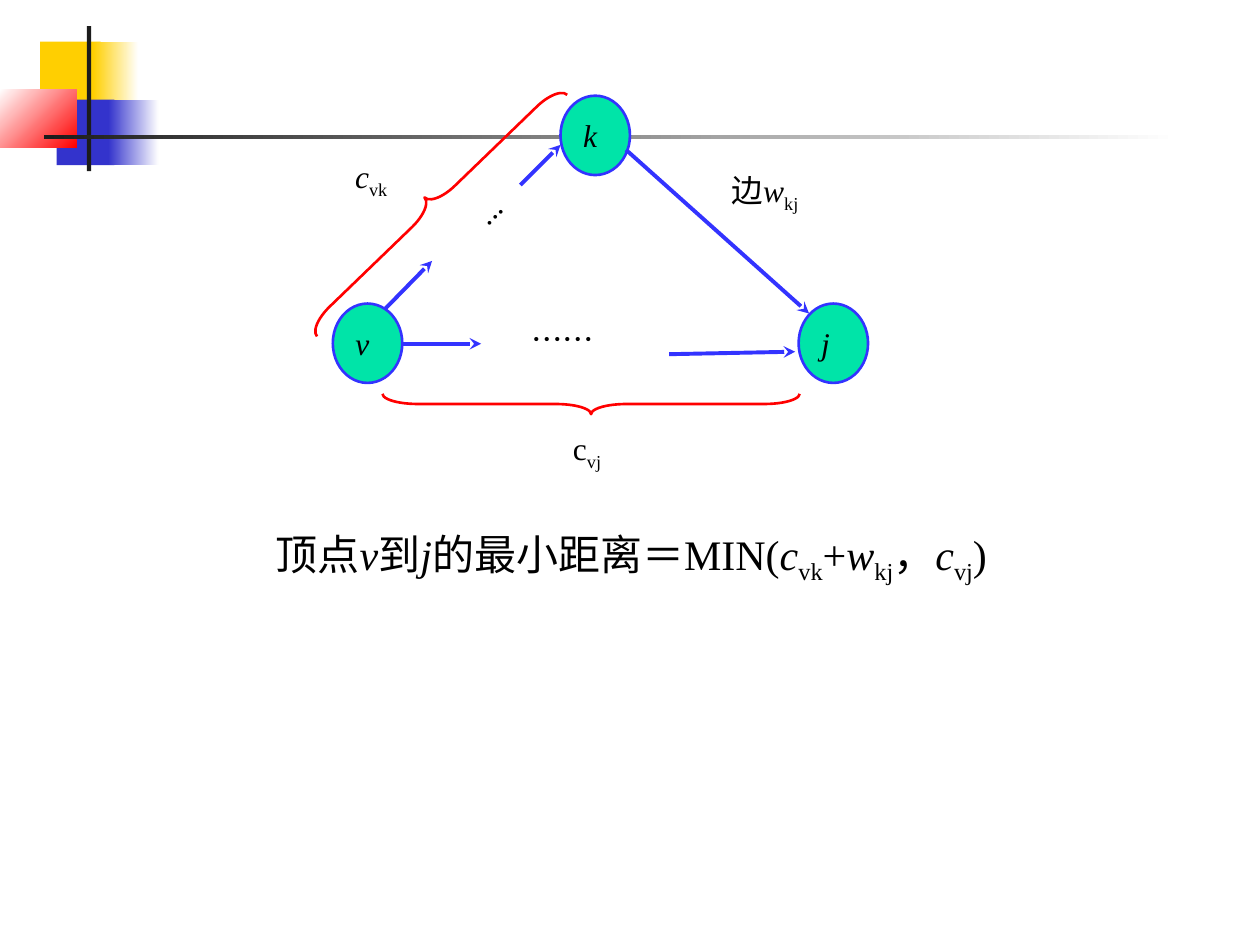
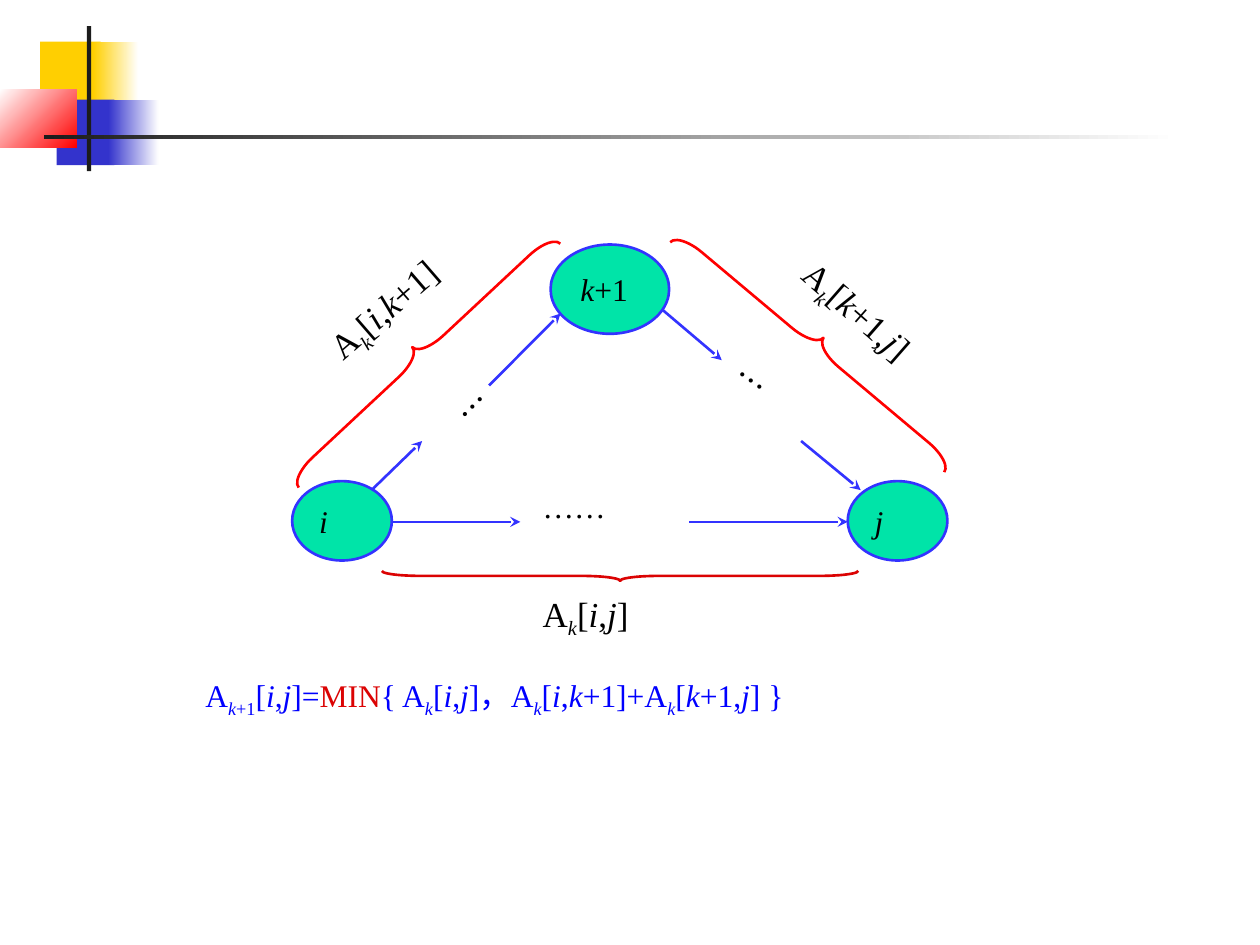
import pptx
import pptx.dml.color
import pptx.enum.shapes
import pptx.enum.text
import pptx.oxml.ns
import pptx.util
from lxml import etree

Cm = pptx.util.Cm
Pt = pptx.util.Pt
Kind = pptx.enum.shapes.MSO_SHAPE
Anchor = pptx.enum.text.MSO_ANCHOR
qn = pptx.oxml.ns.qn

HUES = {
    "gold": "FFCF01", "navy": "3333CC", "red": "FF0000", "dark": "1C1C1C",
    "white": "FFFFFF", "black": "000000", "blue": "0000FF", "line": "3333FF",
    "node": "00E4A8", "brick": "DB0303",
}
SERIF = "Times New Roman"
SANS = "Noto Sans CJK SC"
BANDS = [
    ((0.81, 0.84, 1.22, 1.32), ["gold"], 0),
    ((1.88, 0.84, 0.91, 1.32), ["gold", "white"], 0),
    ((1.14, 2.01, 1.17, 1.32), ["navy"], 0),
    ((2.18, 2.01, 1.02, 1.32), ["navy", "white"], 0),
    ((0, 1.8, 1.55, 1.17), ["white", "red"], 315),
    ((1.75, 0.53, 0.09, 2.92), ["dark"], 0),
    ((0.89, 2.72, 22.86, 0.08), ["dark", "white"], 0),
]


def dress(target, values):
    for key, value in values.items():
        setattr(target, key, value)


def hue(name):
    return pptx.dml.color.RGBColor.from_string(HUES[name])


def pieces(mark):
    state = {"*": False, "~": False, "@": False}
    part = ""
    for char in mark:
        if char in state:
            if part:
                yield part, dict(state)
            state[char] = not state[char]
            part = ""
        else:
            part += char
    if part:
        yield part, dict(state)


class Deck:
    def __init__(self):
        self.show = pptx.Presentation()
        dress(self.show, {"slide_width": Cm(25.4), "slide_height": Cm(19.05)})

    def page(self):
        self.slide = self.show.slides.add_slide(self.show.slide_layouts[6])
        for box, names, angle in BANDS:
            self.band(box, names, angle)

    def shape(self, kind, box):
        item = self.slide.shapes.add_shape(kind, *map(Cm, box))
        item.shadow.inherit = False
        return item

    def stroke(self, item, color, width):
        item.line.color.rgb = hue(color)
        item.line.width = Pt(width)

    def band(self, box, names, angle):
        item = self.shape(Kind.RECTANGLE, box)
        item.line.fill.background()
        if len(names) == 1:
            item.fill.solid()
            item.fill.fore_color.rgb = hue(names[0])
            return
        item.fill.gradient()
        item.fill.gradient_angle = angle
        for place, (stop, name) in enumerate(zip(item.fill.gradient_stops, names)):
            stop.color.rgb = hue(name)
            stop.position = place

    def runs(self, para, mark, size=18, color="black", face=SERIF, east=SANS):
        para.alignment = pptx.enum.text.PP_ALIGN.LEFT
        for part, state in pieces(mark):
            run = para.add_run()
            run.text = part
            dress(run.font, {"size": Pt(size), "name": face, "italic": state["*"]})
            run.font.color.rgb = hue("brick" if state["@"] else color)
            props = run._r.get_or_add_rPr()
            etree.SubElement(props, qn("a:ea")).set("typeface", east)
            if state["~"]:
                props.set("baseline", "-25000")

    def text(self, box, mark, turn=0, **style):
        item = self.slide.shapes.add_textbox(*map(Cm, box))
        item.rotation = turn
        item.text_frame.word_wrap = True
        para = item.text_frame.paragraphs[0]
        gap = etree.SubElement(para._p.get_or_add_pPr(), qn("a:spcBef"))
        etree.SubElement(gap, qn("a:spcPct")).set("val", "50000")
        self.runs(para, mark, **style)

    def node(self, left, top, mark, wide=1.4, high=1.6):
        item = self.shape(Kind.OVAL, (left, top, wide, high))
        item.fill.solid()
        item.fill.fore_color.rgb = hue("node")
        self.stroke(item, "line", 1.5)
        dress(item.text_frame, {"word_wrap": True, "vertical_anchor": Anchor.MIDDLE})
        self.runs(item.text_frame.paragraphs[0], mark)

    def arrow(self, ends, width):
        item = self.slide.shapes.add_connector(
            pptx.enum.shapes.MSO_CONNECTOR.STRAIGHT, *map(Cm, ends))
        self.stroke(item, "line", width)
        props = item._element.spPr
        etree.SubElement(props.find(qn("a:ln")), qn("a:tailEnd")).set("type", "stealth")
        etree.SubElement(props, qn("a:effectLst"))

    def brace(self, kind, box, turn, bend, color="red"):
        item = self.shape(kind, box)
        item.rotation = turn
        item.adjustments[0] = bend
        item.fill.background()
        self.stroke(item, color, 1.5)


def single(deck):
    deck.page()
    deck.text((5.31, 10.52, 16.79, 1.27),
              "顶点*v*到*j*的最小距离＝MIN(*c*~vk~+*w*~kj~，*c*~vj~)", size=24)
    for left, top, name in [(11.3, 1.93, "*k*"), (6.71, 6.12, "*v*"), (16.1, 6.12, "*j*")]:
        deck.node(left, top, name)
    for ends in [(12.62, 3.02, 16.31, 6.32), (7.77, 6.22, 8.71, 5.26),
                 (10.49, 3.73, 11.3, 2.92), (8.1, 6.93, 9.7, 6.93),
                 (13.49, 7.14, 16.03, 7.09)]:
        deck.arrow(ends, 2.25)
    deck.brace(Kind.LEFT_BRACE, (8.48, 0.66, 0.51, 7.01), 46, 1.17)
    deck.brace(Kind.RIGHT_BRACE, (11.71, 3.94, 0.41, 8.41), 90, 1.76)
    deck.text((8.86, 4.11, 1.8, 1.27), "...", 135)
    deck.text((10.46, 6.32, 2.59, 1.27), "……", face=SANS)
    deck.text((6.91, 3.05, 1.6, 1.27), "*c*~vk~")
    deck.text((11.3, 8.53, 1.6, 1.27), "c~vj~")
    deck.text((14.5, 3.33, 3.4, 1.27), "边*w*~kj~")


def general(deck):
    deck.page()
    deck.text((3.89, 13.51, 17.2, 1.27),
              "A~*k*+1~[*i*,*j*]=@MIN@{ A~*k*~[*i*,*j*]，"
              "A~*k*~[*i*,*k*+1]+A~*k*~[*k*+1,*j*] }", color="blue")
    deck.node(11.1, 4.93, "*k*+1", 2.39, 1.8)
    for left, name in [(5.89, "*i*"), (17.09, "*j*")]:
        deck.node(left, 9.7, name, 2.01)
    for ends in [(7.49, 9.88, 8.51, 8.89), (9.86, 7.77, 11.3, 6.32),
                 (13.36, 6.25, 14.55, 7.26), (16.15, 8.89, 17.35, 9.88),
                 (7.9, 10.52, 10.49, 10.52), (13.89, 10.52, 17.09, 10.52)]:
        deck.arrow(ends, 1.5)
    for left, top, turn in [(8.23, 3.58, 47), (16.18, 3.4, 130)]:
        deck.brace(Kind.LEFT_BRACE, (left, top, 0.51, 7.21), turn, 1.2)
    deck.brace(Kind.RIGHT_BRACE, (12.4, 6.81, 0.2, 9.6), 90, 3.94, "brick")
    for left, top, turn in [(8.31, 7.72, 135), (14.45, 7.34, 35.8)]:
        deck.text((left, top, 1.8, 1.27), "…", turn, face=SANS)
    deck.text((10.69, 9.7, 3.61, 1.27), "……", east=SERIF)
    for left, top, wide, mark, turn in [
            (6.1, 5.51, 3.61, "A~*k*~[*i*,*k*+1]", 319.1),
            (15.67, 5.87, 3.61, "A~*k*~[*k*+1,*j*]", 41.2),
            (10.69, 11.81, 3.99, "A~*k*~[*i*,*j*]", 0)]:
        deck.text((left, top, wide, 1.09), mark, turn, size=20)


def main():
    deck = Deck()
    single(deck)
    general(deck)
    deck.show.save("out.pptx")


if __name__ == "__main__":
    main()
